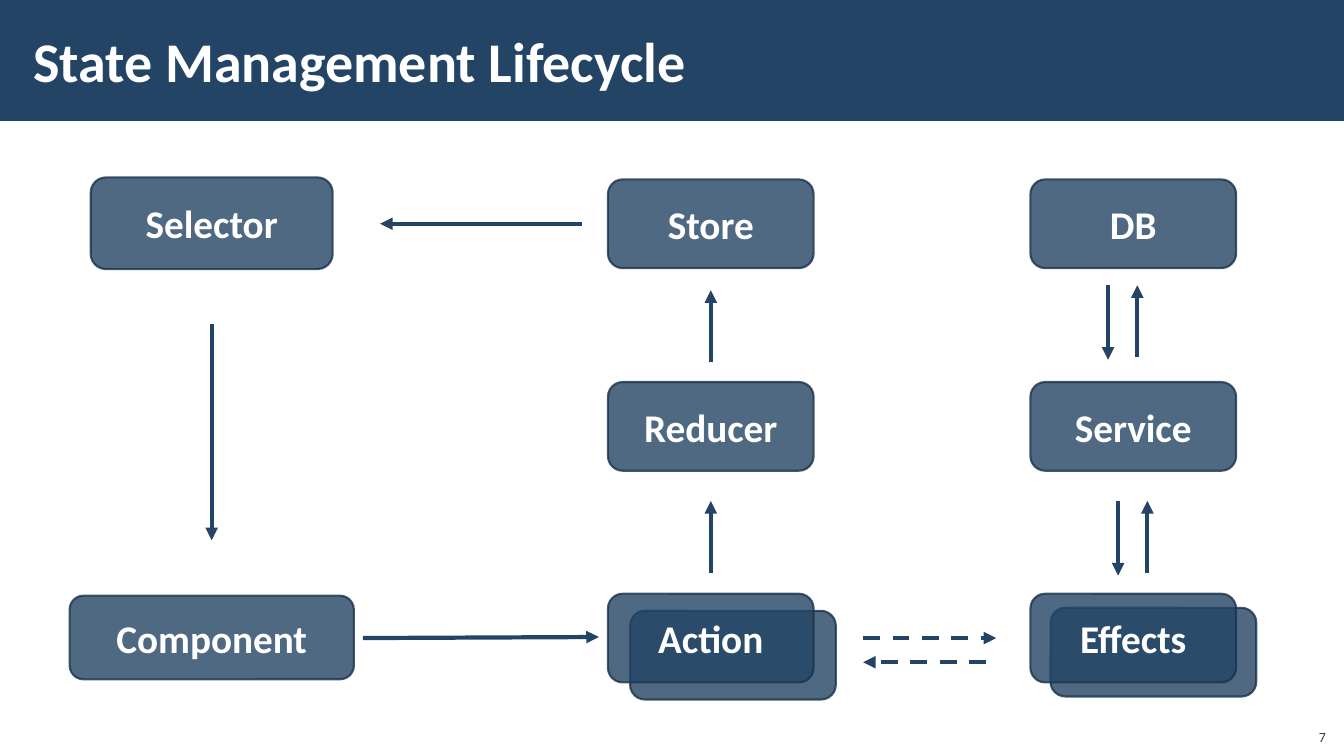
"""Build the State Management Lifecycle slide."""
from lxml.etree import SubElement
from pptx import Presentation
from pptx.dml.color import RGBColor
from pptx.enum.dml import MSO_LINE
from pptx.enum.shapes import MSO_CONNECTOR, MSO_SHAPE
from pptx.enum.text import MSO_ANCHOR, MSO_AUTO_SIZE, PP_ALIGN
from pptx.oxml.ns import qn
from pptx.util import Pt

PX = 9144
COLORS = {name: RGBColor.from_string(value) for name, value in {
    "navy": "234465", "edge": "1A334C", "white": "FFFFFF"}.items()}
FONT = "Calibri"


def px(*lengths):
    return [length * PX for length in lengths]


def style_text(para, size, color, bold, align):
    para.alignment = align
    para.font.name = FONT
    para.font.size = Pt(size)
    para.font.bold = bold
    para.font.color.rgb = COLORS[color]


deck = Presentation()
deck.slide_width, deck.slide_height = px(1333, 750)
page = deck.slides.add_slide(deck.slide_layouts[5])

band = page.shapes.add_shape(MSO_SHAPE.RECTANGLE, *px(0, 0, 1333, 120))
band.shadow.inherit = False
band.fill.solid()
band.fill.fore_color.rgb = COLORS["navy"]
band.line.fill.background()

title = page.shapes.title
band.element.addnext(title.element)
title.left, title.top, title.width, title.height = px(21, 11, 1063, 97)
frame = title.text_frame
frame.text = "State Management Lifecycle"
frame.auto_size = MSO_AUTO_SIZE.NONE
frame.vertical_anchor = MSO_ANCHOR.MIDDLE
frame.margin_left, frame.margin_right = px(12, 12)
frame.margin_top, frame.margin_bottom = px(4, 4)
style_text(frame.paragraphs[0], 40, "white", True, PP_ALIGN.LEFT)

STORE_X, SERVER_X = 603, 1022
TOP_Y, MIDDLE_Y, BOTTOM_Y = 178, 379, 589
CARD = (204, 88)
cards = [
    ("Selector", 90, 176, 240, 91),
    ("Component", 69, 591, 282, 83),
    ("Store", STORE_X, TOP_Y, *CARD),
    ("Reducer", STORE_X, MIDDLE_Y, *CARD),
    ("", STORE_X + 22, BOTTOM_Y + 17, *CARD),
    ("Action", STORE_X, BOTTOM_Y, *CARD),
    ("DB", SERVER_X, TOP_Y, *CARD),
    ("Service", SERVER_X, MIDDLE_Y, *CARD),
    ("", SERVER_X + 20, BOTTOM_Y + 14, *CARD),
    ("Effects", SERVER_X, BOTTOM_Y, *CARD),
]
for label, *bounds in cards:
    card = page.shapes.add_shape(MSO_SHAPE.ROUNDED_RECTANGLE, *px(*bounds))
    card.shadow.inherit = False
    card.fill.solid()
    card.fill.fore_color.rgb = COLORS["navy"]
    card.line.color.rgb = COLORS["edge"]
    card.line.width = Pt(1.5)
    for color in card.element.spPr.iter(qn("a:srgbClr")):
        SubElement(color, qn("a:alpha"), val="80000")
    if label:
        card.text_frame.text = label
        card.text_frame.vertical_anchor = MSO_ANCHOR.MIDDLE
        style_text(card.text_frame.paragraphs[0], 28, "white", True, PP_ALIGN.CENTER)

arrows = [
    (577, 222, 377, 222, False),
    (210, 321, 210, 536, False),
    (360, 633, 594, 632, False),
    (705, 568, 705, 497, False),
    (705, 359, 705, 288, False),
    (1109, 497, 1109, 571, False),
    (1138, 568, 1138, 497, False),
    (1099, 283, 1099, 357, False),
    (1128, 354, 1128, 283, False),
    (856, 633, 988, 633, True),
    (978, 657, 856, 657, True),
]
for *ends, dashed in arrows:
    arrow = page.shapes.add_connector(MSO_CONNECTOR.STRAIGHT, *px(*ends))
    arrow.line.color.rgb = COLORS["navy"]
    arrow.line.width = Pt(3)
    if dashed:
        arrow.line.dash_style = MSO_LINE.DASH
    SubElement(arrow.line.fill and arrow.element.spPr.find(qn("a:ln")),
               qn("a:tailEnd"), type="triangle")
    SubElement(arrow.element.spPr, qn("a:effectLst"))

number = page.shapes.add_textbox(*px(1285, 712, 40, 32))
number.text_frame.word_wrap = True
number.text_frame.vertical_anchor = MSO_ANCHOR.BOTTOM
number.text_frame.text = "7"
style_text(number.text_frame.paragraphs[0], 10, "navy", False, PP_ALIGN.RIGHT)

deck.save("out.pptx")
